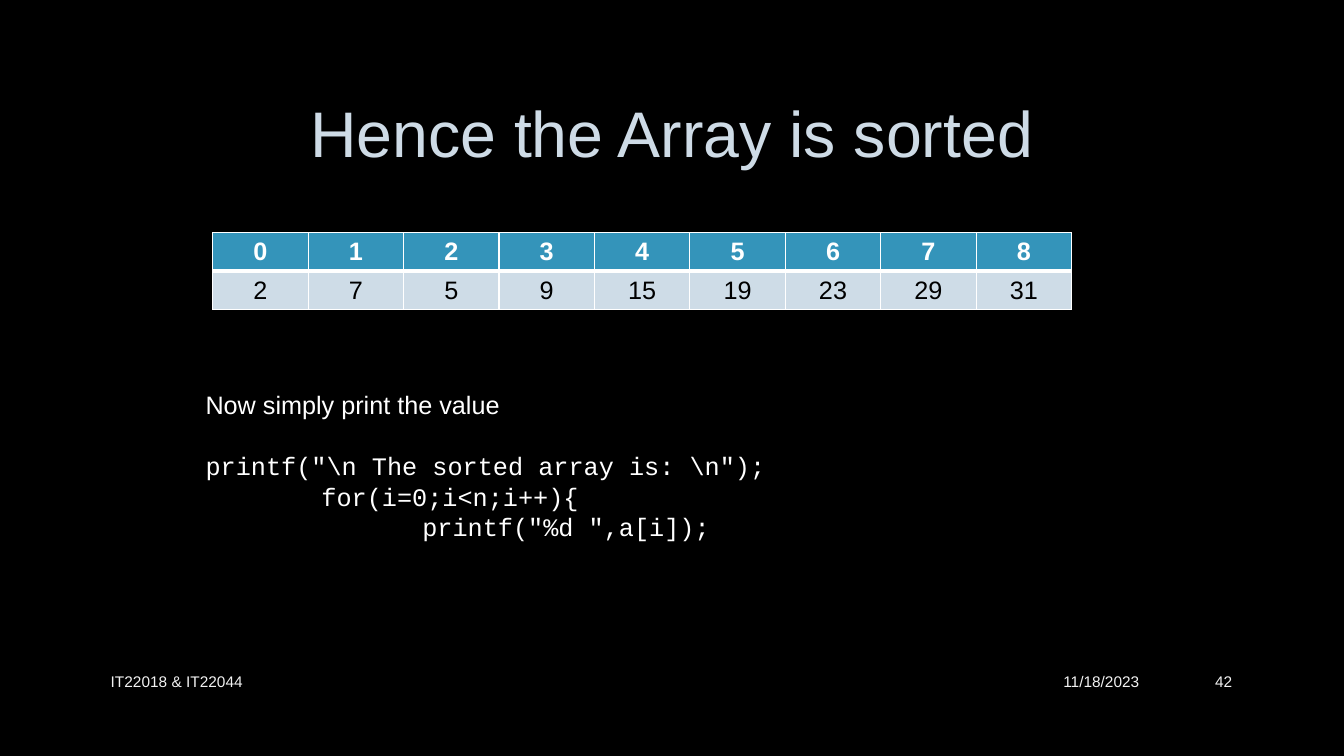
from lxml.etree import SubElement
from pptx import Presentation
from pptx.dml.color import RGBColor
from pptx.enum.text import MSO_ANCHOR as Anchor, PP_ALIGN as Align
from pptx.oxml.ns import qn
from pptx.util import Inches, Pt

COLORS = {
    "background": "000000", "title": "CEDBE6", "text": "FFFFFF", "footer": "F2F2F2",
    "header": "3494BA", "value": "CEDCE7", "value text": "000000", "border": "FFFFFF",
}


def write(para, text, color, size, name="Arial", bold=False, align=Align.LEFT):
    para.alignment = align
    span = para.add_run()
    span.text = text
    formats = {"name": name, "size": Pt(size), "bold": bold}
    for key, value in formats.items():
        setattr(span.font, key, value)
    span.font.color.rgb = RGBColor.from_string(COLORS[color])


def add_border(cell, side, width):
    line = SubElement(cell._tc.get_or_add_tcPr(), qn(f"a:{side}"), w=str(Pt(width)))
    fill = SubElement(line, qn("a:solidFill"))
    SubElement(fill, qn("a:srgbClr"), val=COLORS["border"])


deck = Presentation()
deck.slide_width, deck.slide_height = Inches(13.33), Inches(7.5)
page = deck.slides.add_slide(deck.slide_layouts[5])
page.background.fill.solid()
page.background.fill.fore_color.rgb = RGBColor.from_string(COLORS["background"])

# Title
title = page.shapes.title
place = {"left": 1, "top": 0.67, "width": 11.32, "height": 1.38}
for key, value in place.items():
    setattr(title, key, Inches(value))
title.text_frame.vertical_anchor = Anchor.MIDDLE
heading = title.text_frame.paragraphs[0]
heading.line_spacing = 0.9
write(heading, "Hence the Array is sorted", "title", 46, align=Align.CENTER)

# Sorted array: indexes above values
values = [2, 7, 5, 9, 15, 19, 23, 29, 31]
rows = [
    (range(len(values)), "header", "text", True, 3),
    (values, "value", "value text", False, 1),
]
column_width, row_height = Inches(8.52 / len(values)), Inches(0.38)
table = page.shapes.add_table(
    len(rows), len(values), Inches(2.11), Inches(2.31),
    column_width * len(values), row_height * len(rows)).table
for row, (numbers, fill, color, bold, bottom) in enumerate(rows):
    table.rows[row].height = row_height
    for column, number in enumerate(numbers):
        table.columns[column].width = column_width
        cell = table.cell(row, column)
        write(cell.text_frame.paragraphs[0], str(number), color, 18,
              bold=bold, align=Align.CENTER)
        top = 1 if row == 0 else rows[row - 1][4]
        for side, width in {"lnL": 1, "lnR": 1, "lnT": top, "lnB": bottom}.items():
            add_border(cell, side, width)
        cell.fill.solid()
        cell.fill.fore_color.rgb = RGBColor.from_string(COLORS[fill])

# Printing code: text, font, indent in inches, space before in lines
line_height = 21.8
code_lines = [
    ("Now simply print the value", "Arial", 0, 0),
    ('printf("\\n The sorted array is: \\n");', "Courier New", 0, 1),
    ("for(i=0;i<n;i++){", "Courier New", 1.15, 0),
    ('printf("%d ",a[i]);', "Courier New", 2.15, 0),
]
box = page.shapes.add_textbox(Inches(1.94), Inches(3.81), Inches(7.71), Inches(1.92))
frame = box.text_frame
frame.word_wrap = True
for index, (text, font, indent, gap) in enumerate(code_lines):
    para = frame.add_paragraph() if index else frame.paragraphs[0]
    para.line_spacing = Pt(line_height)
    para.space_before = Pt(gap * line_height)
    para._p.get_or_add_pPr().set("marL", str(Inches(indent)))
    write(para, text, "text", 18, font)

# Footer: authors, date and page number
footers = [
    ("IT22018 & IT22044", 1, 7.3, Align.LEFT),
    ("11/18/2023", 8.4, 3, Align.RIGHT),
    ("42", 11.5, 0.82, Align.RIGHT),
]
for text, left, width, align in footers:
    box = page.shapes.add_textbox(Inches(left), Inches(6.56), Inches(width), Inches(0.4))
    box.text_frame.word_wrap = True
    box.text_frame.vertical_anchor = Anchor.MIDDLE
    write(box.text_frame.paragraphs[0], text, "footer", 11, align=align)

deck.save("out.pptx")
